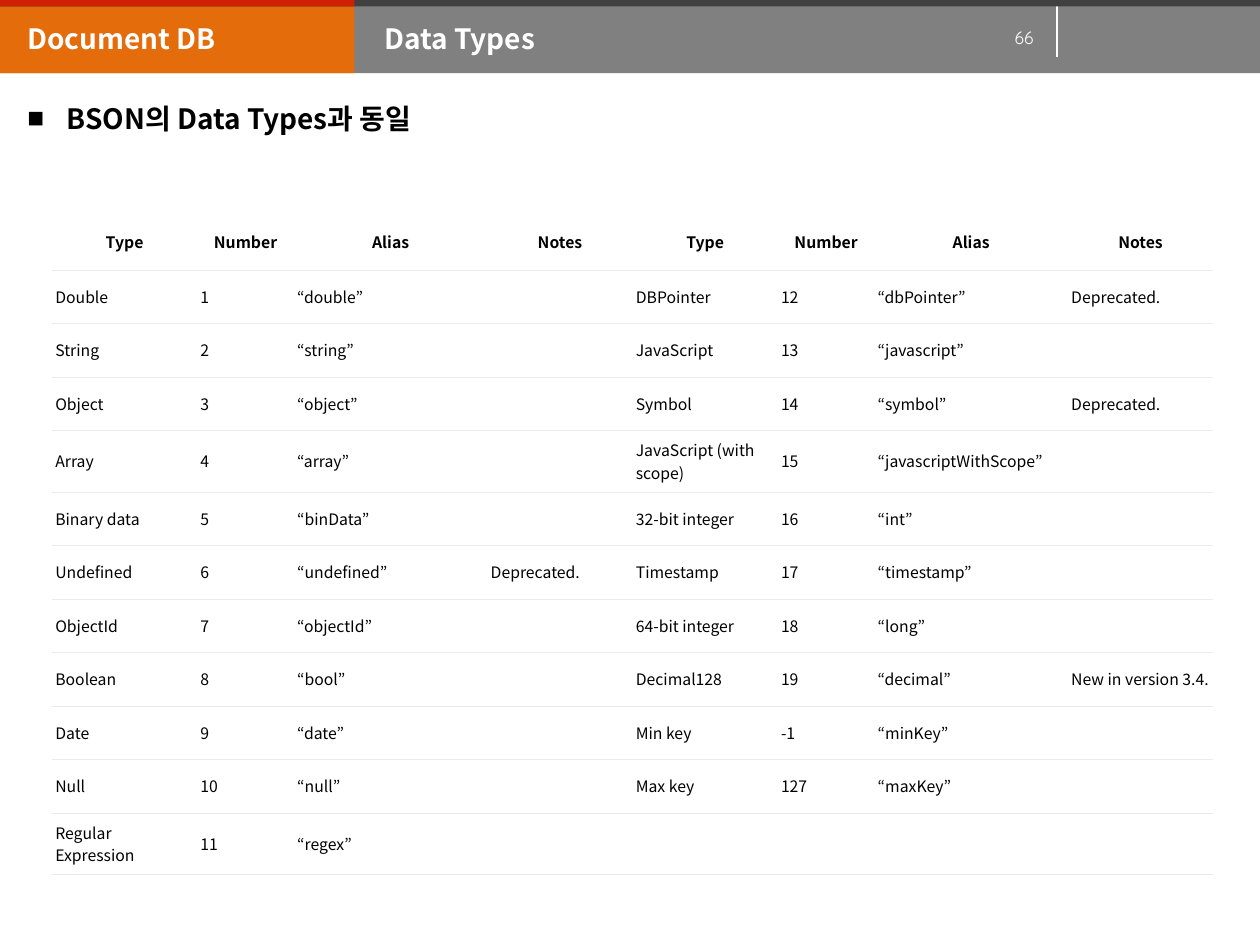
from dataclasses import dataclass

from lxml import etree
from pptx import Presentation
from pptx.dml.color import RGBColor
from pptx.enum.shapes import MSO_CONNECTOR, MSO_SHAPE
from pptx.enum.text import MSO_ANCHOR, MSO_AUTO_SIZE, PP_ALIGN
from pptx.oxml.ns import qn
from pptx.util import Pt

RECTANGLE = MSO_SHAPE.RECTANGLE
STRAIGHT = MSO_CONNECTOR.STRAIGHT
TOP, MIDDLE = MSO_ANCHOR.TOP, MSO_ANCHOR.MIDDLE
LEFT, CENTER, RIGHT = PP_ALIGN.LEFT, PP_ALIGN.CENTER, PP_ALIGN.RIGHT
NO_AUTOFIT = MSO_AUTO_SIZE.NONE
PLAIN_TABLE_STYLE = "{2D5ABB26-0587-4C30-8999-92F81FD0307C}"


@dataclass(frozen=True)
class Theme:
    font: str = "Noto Sans CJK KR"
    number_font: str = "Quicksand"
    white: str = "FFFFFF"
    black: str = "000000"
    gray: str = "808080"
    dark_gray: str = "404040"
    orange: str = "E46C0A"
    red: str = "CF2003"
    rule: str = "EBEBED"
    heading_size: float = 16
    number_size: float = 10
    table_size: float = 9
    line_width: float = 0.75


class SlideBuilder:
    def __init__(self, slide, theme):
        self.slide = slide
        self.theme = theme

    def style(self, paragraph, size, color, bold=False, align=LEFT, font=None):
        paragraph.alignment = align
        paragraph.font.size = Pt(size)
        paragraph.font.bold = bold
        paragraph.font.color.rgb = RGBColor.from_string(color)
        paragraph.font.name = font or self.theme.font
        properties = paragraph._p.get_or_add_pPr().find(qn("a:defRPr"))
        etree.SubElement(properties, qn("a:ea"), typeface=font or self.theme.font)

    def band(self, width, height, color):
        shape = self.slide.shapes.add_shape(RECTANGLE, 0, 0, Pt(width), Pt(height))
        shape.shadow.inherit = False
        shape.fill.solid()
        shape.fill.fore_color.rgb = RGBColor.from_string(color)
        shape.line.fill.background()

    def vertical_line(self, left, bottom):
        line = self.slide.shapes.add_connector(STRAIGHT, Pt(left), 0, Pt(left), Pt(bottom))
        line.line.color.rgb = RGBColor.from_string(self.theme.white)
        line.line.width = Pt(self.theme.line_width)
        etree.SubElement(line._element.spPr, qn("a:effectLst"))

    def page_number(self, text, left, top, width, height):
        shape = self.slide.shapes.add_textbox(Pt(left), Pt(top), Pt(width), Pt(height))
        shape.text_frame.word_wrap = True
        paragraph = shape.text_frame.paragraphs[0]
        paragraph.text = text
        self.style(paragraph, self.theme.number_size, self.theme.white,
                   align=RIGHT, font=self.theme.number_font)

    def heading(self, index, text, left, top, width, height, color, anchor=MIDDLE, bullet=None):
        shape = self.slide.placeholders[index]
        shape.element.getparent().append(shape.element)
        shape.left, shape.top, shape.width, shape.height = map(Pt, (left, top, width, height))
        frame = shape.text_frame
        frame.auto_size = NO_AUTOFIT
        frame.word_wrap = True
        frame.vertical_anchor = anchor
        paragraph = frame.paragraphs[0]
        paragraph.text = text
        paragraph.space_before = Pt(0)
        properties = paragraph._p.get_or_add_pPr()
        indent = Pt(22.5) if bullet else 0
        properties.set("marL", str(indent))
        properties.set("indent", str(-indent))
        if bullet:
            etree.SubElement(properties, qn("a:buChar"), char=bullet)
        else:
            etree.SubElement(properties, qn("a:buNone"))
        self.style(paragraph, self.theme.heading_size, color, bold=True)

    def cell(self, cell, text, is_header):
        border = etree.SubElement(cell._tc.get_or_add_tcPr(), qn("a:lnB"),
                                  w=str(Pt(self.theme.line_width)))
        fill = etree.SubElement(border, qn("a:solidFill"))
        etree.SubElement(fill, qn("a:srgbClr"), val=self.theme.rule)
        cell.fill.solid()
        cell.fill.fore_color.rgb = RGBColor.from_string(self.theme.white)
        if not text:
            return
        cell.vertical_anchor = MIDDLE
        cell.margin_left = cell.margin_right = Pt(1.9)
        cell.margin_top = Pt(2.25 if is_header else 4.25)
        cell.margin_bottom = Pt(4.75)
        paragraph = cell.text_frame.paragraphs[0]
        paragraph.text = text
        self.style(paragraph, self.theme.table_size, self.theme.black,
                   bold=is_header, align=CENTER if is_header else LEFT)

    def table(self, rows, left, top, column_widths, row_height):
        frame = self.slide.shapes.add_table(
            len(rows), len(column_widths), Pt(left), Pt(top),
            Pt(sum(column_widths)), Pt(row_height * len(rows)))
        table = frame.table
        table.first_row = table.horz_banding = False
        table._tbl.tblPr.find(qn("a:tableStyleId")).text = PLAIN_TABLE_STYLE
        for column, width in zip(table.columns, column_widths):
            column.width = Pt(width)
        for row_index, (row, values) in enumerate(zip(table.rows, rows)):
            row.height = Pt(row_height)
            for cell, text in zip(row.cells, values):
                self.cell(cell, text, row_index == 0)


HEADER = ("Type", "Number", "Alias", "Notes")
FIRST_TYPES = [
    ("Double", "1", "“double”", ""),
    ("String", "2", "“string”", ""),
    ("Object", "3", "“object”", ""),
    ("Array", "4", "“array”", ""),
    ("Binary data", "5", "“binData”", ""),
    ("Undefined", "6", "“undefined”", "Deprecated."),
    ("ObjectId", "7", "“objectId”", ""),
    ("Boolean", "8", "“bool”", ""),
    ("Date", "9", "“date”", ""),
    ("Null", "10", "“null”", ""),
    ("Regular Expression", "11", "“regex”", ""),
]
SECOND_TYPES = [
    ("DBPointer", "12", "“dbPointer”", "Deprecated."),
    ("JavaScript", "13", "“javascript”", ""),
    ("Symbol", "14", "“symbol”", "Deprecated."),
    ("JavaScript (with scope)", "15", "“javascriptWithScope”", ""),
    ("32-bit integer", "16", "“int”", ""),
    ("Timestamp", "17", "“timestamp”", ""),
    ("64-bit integer", "18", "“long”", ""),
    ("Decimal128", "19", "“decimal”", "New in version 3.4."),
    ("Min key", "-1", "“minKey”", ""),
    ("Max key", "127", "“maxKey”", ""),
    ("", "", "", ""),
]


def main():
    theme = Theme()
    presentation = Presentation()
    presentation.slide_width, presentation.slide_height = Pt(720), Pt(540)
    slide = presentation.slides.add_slide(presentation.slide_layouts[3])
    builder = SlideBuilder(slide, theme)

    builder.band(720, 41.75, theme.gray)
    builder.band(202.5, 41.75, theme.orange)
    builder.page_number("66", 547.2, 12, 50.4, 20)
    builder.vertical_line(604, 32.4)
    builder.band(720, 3.6, theme.dark_gray)
    builder.band(202.5, 3.6, theme.red)

    builder.heading(1, "Document DB", 8.5, 5, 199, 34, theme.white)
    builder.heading(0, "Data Types", 212.5, 5, 363, 34, theme.white)

    rows = [left + right for left, right in
            zip([HEADER] + FIRST_TYPES, [HEADER] + SECOND_TYPES)]
    column_widths = [27.65 * share for share in (3, 2, 4, 3)] * 2
    builder.table(rows, 29.7, 123.8, column_widths, 30.6)

    builder.heading(2, "BSON의 Data Types과 동일", 8.5, 54.2, 703, 476,
                    theme.black, anchor=TOP, bullet="■")
    presentation.save("out.pptx")


if __name__ == "__main__":
    main()
